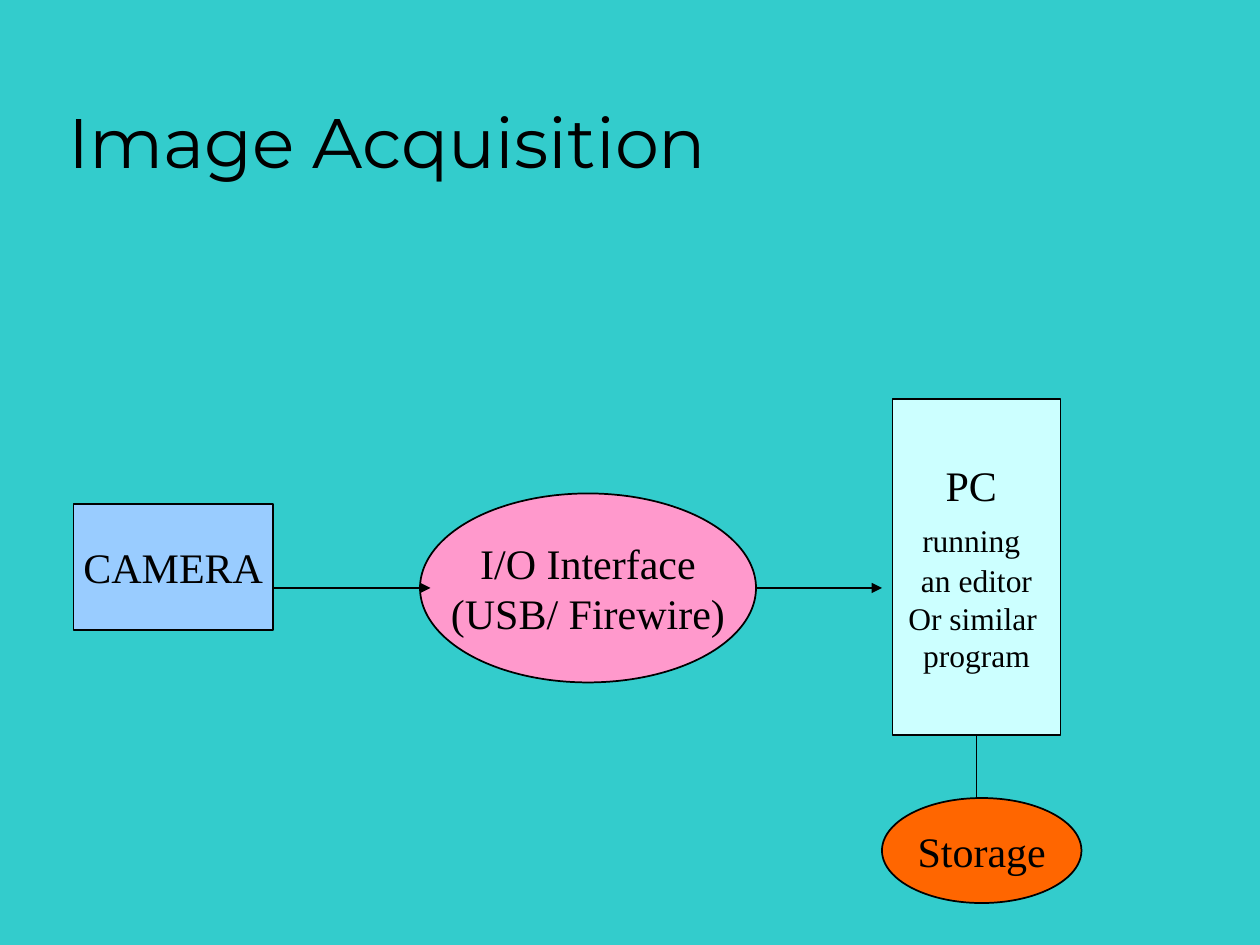
from typing import NamedTuple

import pptx
import pptx.dml.color
import pptx.enum.shapes
import pptx.enum.text
import pptx.oxml
import pptx.oxml.ns
import pptx.util

SLIDE_WIDTH = pptx.util.Inches(10)
SLIDE_HEIGHT = pptx.util.Inches(7.5)
COLUMNS, ROWS = 120, 90
COLORS = {
    "background": "33CCCC",
    "ink": "000000",
    "camera": "99CCFF",
    "interface": "FF99CC",
    "computer": "CCFFFF",
    "storage": "FF6600",
}
SHAPES = pptx.enum.shapes.MSO_SHAPE
BODY_FONT = "Times New Roman"


class Run(NamedTuple):
    text: str
    size: int = 24


class Node(NamedTuple):
    name: str
    kind: SHAPES
    column: int
    row: int
    columns: int
    rows: int
    lines: list[list[Run]]


class Link(NamedTuple):
    start: tuple[int, int]
    end: tuple[int, int]
    arrow: bool = True
    source: str = ""  # rectangle whose bottom side the link leaves


NODES = [
    Node("camera", SHAPES.RECTANGLE, 7, 48, 19, 12, [[Run("CAMERA")]]),
    Node("computer", SHAPES.RECTANGLE, 85, 38, 16, 32, [
        [Run("PC ")],
        [Run("running", 18), Run(" ")],
        [Run("an editor", 18)],
        [Run("Or similar ", 18)],
        [Run("program", 18)],
    ]),
    Node("interface", SHAPES.OVAL, 40, 47, 32, 18,
         [[Run("I/O Interface")], [Run("(USB/ Firewire)")]]),
    Node("storage", SHAPES.OVAL, 84, 76, 19, 10, [[Run("Storage")]]),
]
LINKS = [
    Link((26, 56), (41, 56)),
    Link((72, 56), (84, 56)),
    Link((93, 70), (93, 76), arrow=False, source="computer"),
]


def x(column: float) -> int:
    return round(SLIDE_WIDTH * column / COLUMNS)


def y(row: float) -> int:
    return round(SLIDE_HEIGHT * row / ROWS)


def color(name: str) -> pptx.dml.color.RGBColor:
    return pptx.dml.color.RGBColor.from_string(COLORS[name])


def add_run(paragraph, text: str, size: int, font_name: str) -> None:
    run = paragraph.add_run()
    run.text = text
    run.font.name = font_name
    run.font.size = pptx.util.Pt(size)
    run.font.color.rgb = color("ink")


def style_line(line) -> None:
    line.color.rgb = color("ink")
    line.width = pptx.util.Pt(1)


def add_title(slide, text: str) -> None:
    box = slide.shapes.add_textbox(x(5.3), y(3), x(102), y(15))
    frame = box.text_frame
    frame.word_wrap = True
    frame.vertical_anchor = pptx.enum.text.MSO_ANCHOR.BOTTOM
    add_run(frame.paragraphs[0], text, 40, "Montserrat")


def add_node(slide, node: Node):
    shape = slide.shapes.add_shape(
        node.kind, x(node.column), y(node.row), x(node.columns), y(node.rows))
    shape.shadow.inherit = False
    shape.fill.solid()
    shape.fill.fore_color.rgb = color(node.name)
    style_line(shape.line)
    frame = shape.text_frame
    frame.word_wrap = False
    frame.vertical_anchor = pptx.enum.text.MSO_ANCHOR.MIDDLE
    for index, line in enumerate(node.lines):
        paragraph = frame.add_paragraph() if index else frame.paragraphs[0]
        paragraph.alignment = pptx.enum.text.PP_ALIGN.CENTER
        for run in line:
            add_run(paragraph, run.text, run.size, BODY_FONT)
    return shape


def add_link(slide, link: Link, shapes: dict) -> None:
    connector = slide.shapes.add_connector(
        pptx.enum.shapes.MSO_CONNECTOR.STRAIGHT,
        x(link.start[0]), y(link.start[1]), x(link.end[0]), y(link.end[1]))
    if link.source:
        connector.begin_connect(shapes[link.source], 2)
    style_line(connector.line)
    if link.arrow:
        head = pptx.oxml.parse_xml(
            f'<a:tailEnd {pptx.oxml.ns.nsdecls("a")} type="triangle"/>')
        connector.line._get_or_add_ln().append(head)
    connector._element.spPr.append(pptx.oxml.parse_xml(
        f'<a:effectLst {pptx.oxml.ns.nsdecls("a")}/>'))


def main() -> None:
    presentation = pptx.Presentation()
    presentation.slide_width = SLIDE_WIDTH
    presentation.slide_height = SLIDE_HEIGHT
    slide = presentation.slides.add_slide(presentation.slide_layouts[6])

    # Background and title
    slide.background.fill.solid()
    slide.background.fill.fore_color.rgb = color("background")
    add_title(slide, "Image Acquisition")

    # Acquisition chain
    shapes = {node.name: add_node(slide, node) for node in NODES}
    for link in LINKS:
        add_link(slide, link, shapes)

    presentation.save("out.pptx")


if __name__ == "__main__":
    main()
